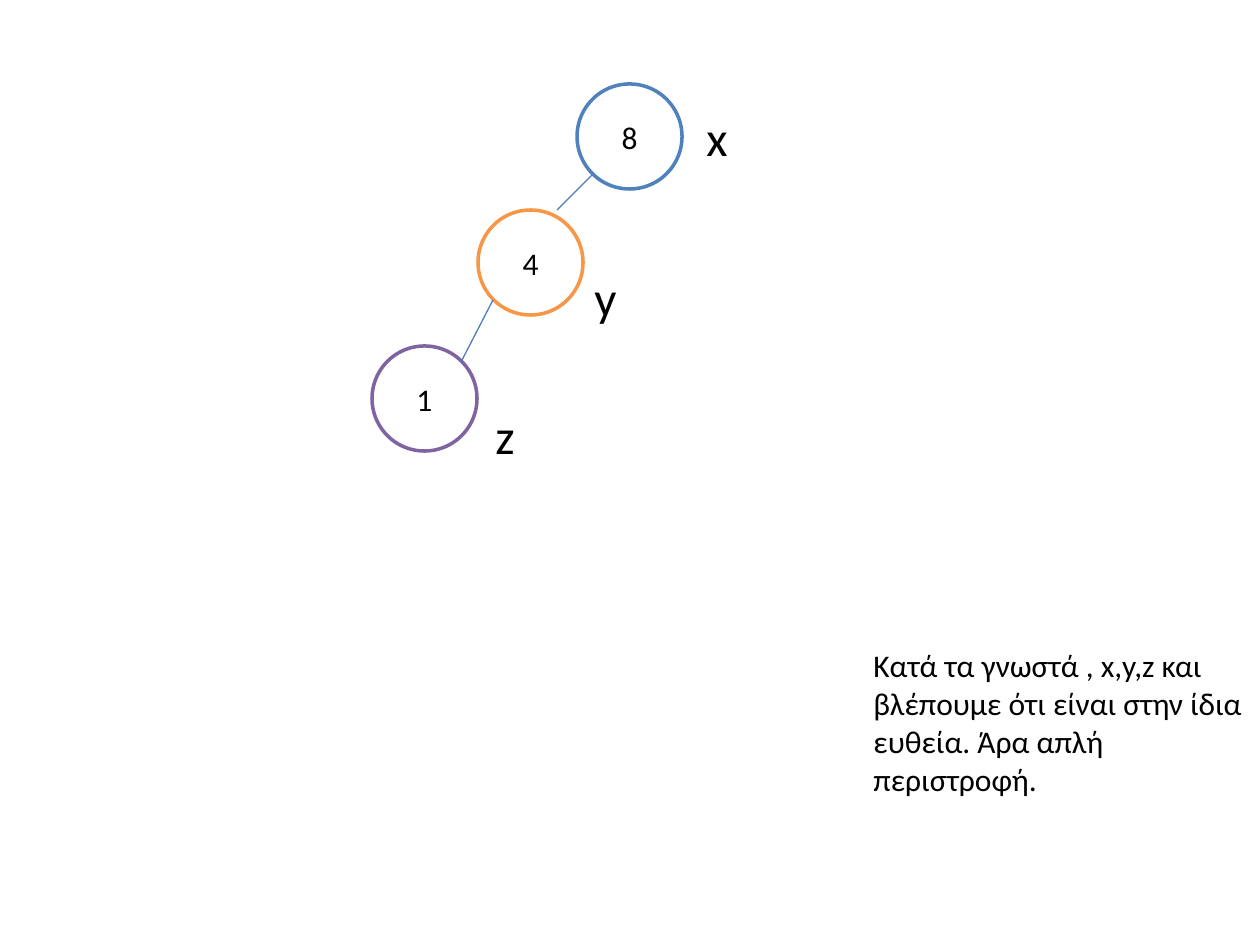
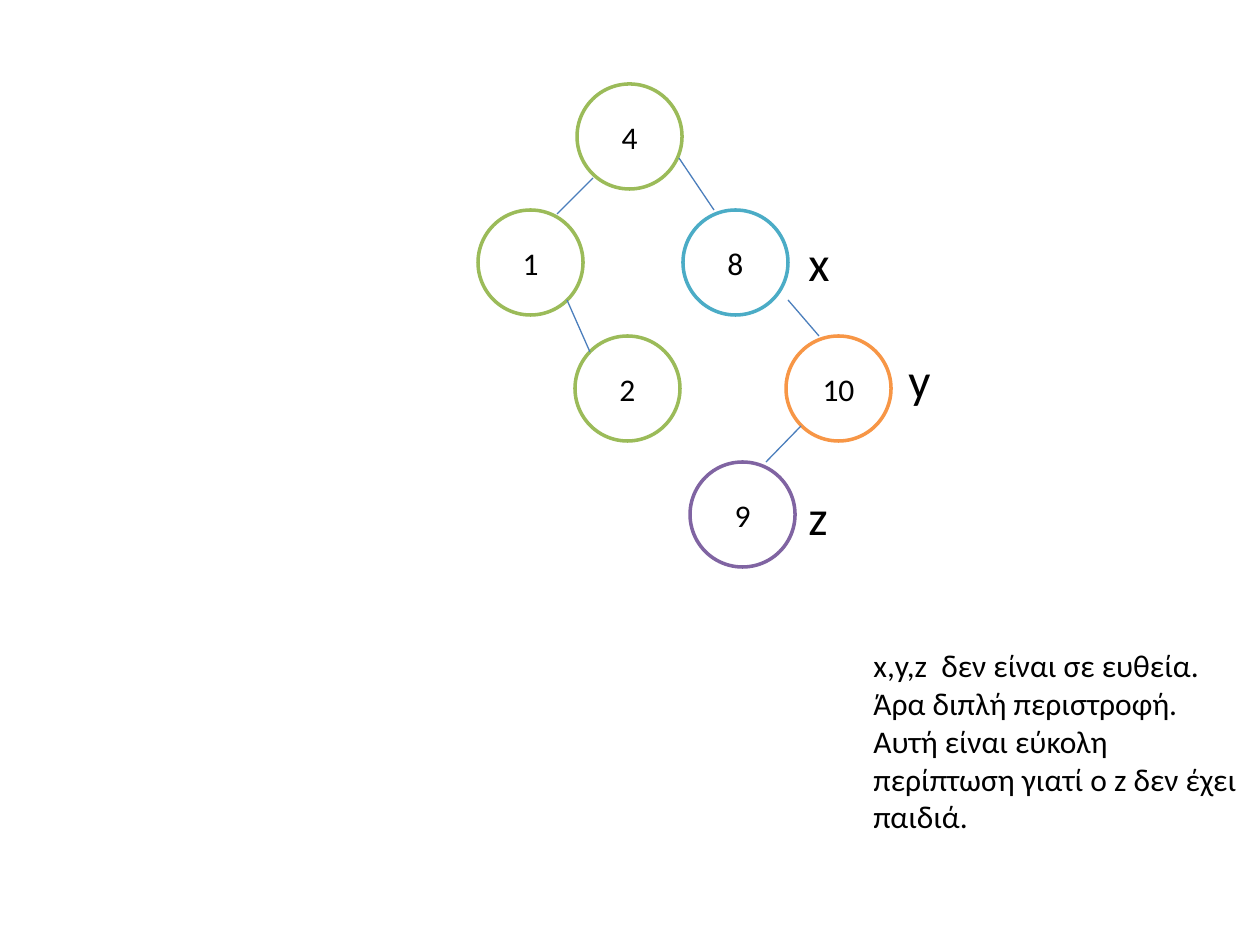
from dataclasses import dataclass

from pptx import Presentation
from pptx import util as u
from pptx.dml.color import RGBColor
from pptx.enum import shapes, text
from pptx.oxml import parse_xml
from pptx.oxml.ns import nsdecls

PX = u.Inches(1) / 126  # one scale for every length


@dataclass(frozen=True)
class Theme:
    font: str = "Calibri"
    ink: str = "000000"
    paper: str = "FFFFFF"
    edge: str = "4B7EBC"
    blue: str = "4F81BD"
    orange: str = "F79646"
    purple: str = "8064A2"
    green: str = "9BBB59"
    aqua: str = "4BACC6"
    body: int = 18
    mark: int = 28
    ring: float = 2
    thin: float = 0.75


T = Theme()
NODE = 105
ROW = 126
MARK = (94, 72)
NOTE = (861, 640, 399)


def emu(*nums):
    return [u.Emu(round(n * PX)) for n in nums]


def rgb(code):
    return RGBColor.from_string(code)


def write(frame, words, size):
    frame.word_wrap = True
    par = frame.paragraphs[0]
    par.text = words
    par.font.name = T.font
    par.font.size = u.Pt(size)
    par.font.color.rgb = rgb(T.ink)
    return par


def add_text(slide, box, words, size):
    frame = slide.shapes.add_textbox(*emu(*box)).text_frame
    write(frame, words, size)
    frame.auto_size = text.MSO_AUTO_SIZE.SHAPE_TO_FIT_TEXT


def add_node(slide, x, y, key, color):
    node = slide.shapes.add_shape(shapes.MSO_SHAPE.OVAL, *emu(x, y, NODE, NODE))
    node.shadow.inherit = False
    node.fill.solid()
    node.fill.fore_color.rgb = rgb(T.paper)
    node.line.color.rgb = rgb(color)
    node.line.width = u.Pt(T.ring)
    node.text_frame.vertical_anchor = text.MSO_ANCHOR.MIDDLE
    write(node.text_frame, key, T.body).alignment = text.PP_ALIGN.CENTER


def add_edge(slide, *ends):
    edge = slide.shapes.add_connector(shapes.MSO_CONNECTOR.STRAIGHT, *emu(*ends))
    edge.line.color.rgb = rgb(T.edge)
    edge.line.width = u.Pt(T.thin)
    edge._element.spPr.append(parse_xml(f"<a:effectLst {nsdecls('a')}/>"))


def add_tree(slide, left, top, nodes, edges, marks):
    """Place a tree whose parts are measured from its left top corner."""
    for x, y, key, color in nodes:
        add_node(slide, left + x, top + y, key, color)
    for x1, y1, x2, y2 in edges:
        add_edge(slide, left + x1, top + y1, left + x2, top + y2)
    for (x, y), name in zip(marks, "xyz"):
        add_text(slide, (left + x, top + y, *MARK), name, T.mark)


def add_page(deck, tree, note, height):
    slide = deck.slides.add_slide(deck.slide_layouts[6])
    add_tree(slide, **tree)
    add_text(slide, (*NOTE, height), note, T.body)


# Nodes in one line: single rotation
SINGLE = dict(
    left=372, top=84,
    nodes=[(205, 0, "8", T.blue), (106, ROW, "4", T.orange),
           (0, 262, "1", T.purple)],
    edges=[(221, 90, 185, ROW), (121, 216, 89, 278)],
    marks=[(322, 17), (210, 177), (111, 315)],
)

# Nodes in a bend: double rotation
DOUBLE = dict(
    left=478, top=84,
    nodes=[(99, 0, "4", T.green),
           (0, ROW, "1", T.green), (205, ROW, "8", T.aqua),
           (97, 2 * ROW, "2", T.green), (308, 2 * ROW, "10", T.orange),
           (212, 3 * ROW, "9", T.purple)],
    edges=[(115, 94, 79, 130), (201, 74, 236, ROW), (112, 268, 89, 216),
           (341, 2 * ROW, 310, 216), (323, 342, 288, 3 * ROW)],
    marks=[(318, 142), (418, 259), (318, 396)],
)


def main():
    deck = Presentation()
    deck.slide_width, deck.slide_height = emu(1260, 945)
    add_page(deck, SINGLE,
             "Κατά τα γνωστά , x,y,z και βλέπουμε ότι είναι στην ίδια ευθεία. "
             "Άρα απλή περιστροφή.", 165)
    add_page(deck, DOUBLE,
             "x,y,z  δεν είναι σε ευθεία. Άρα διπλή περιστροφή. "
             "Αυτή είναι εύκολη περίπτωση γιατί ο z δεν έχει παιδιά.", 204)
    deck.save("out.pptx")


if __name__ == "__main__":
    main()
